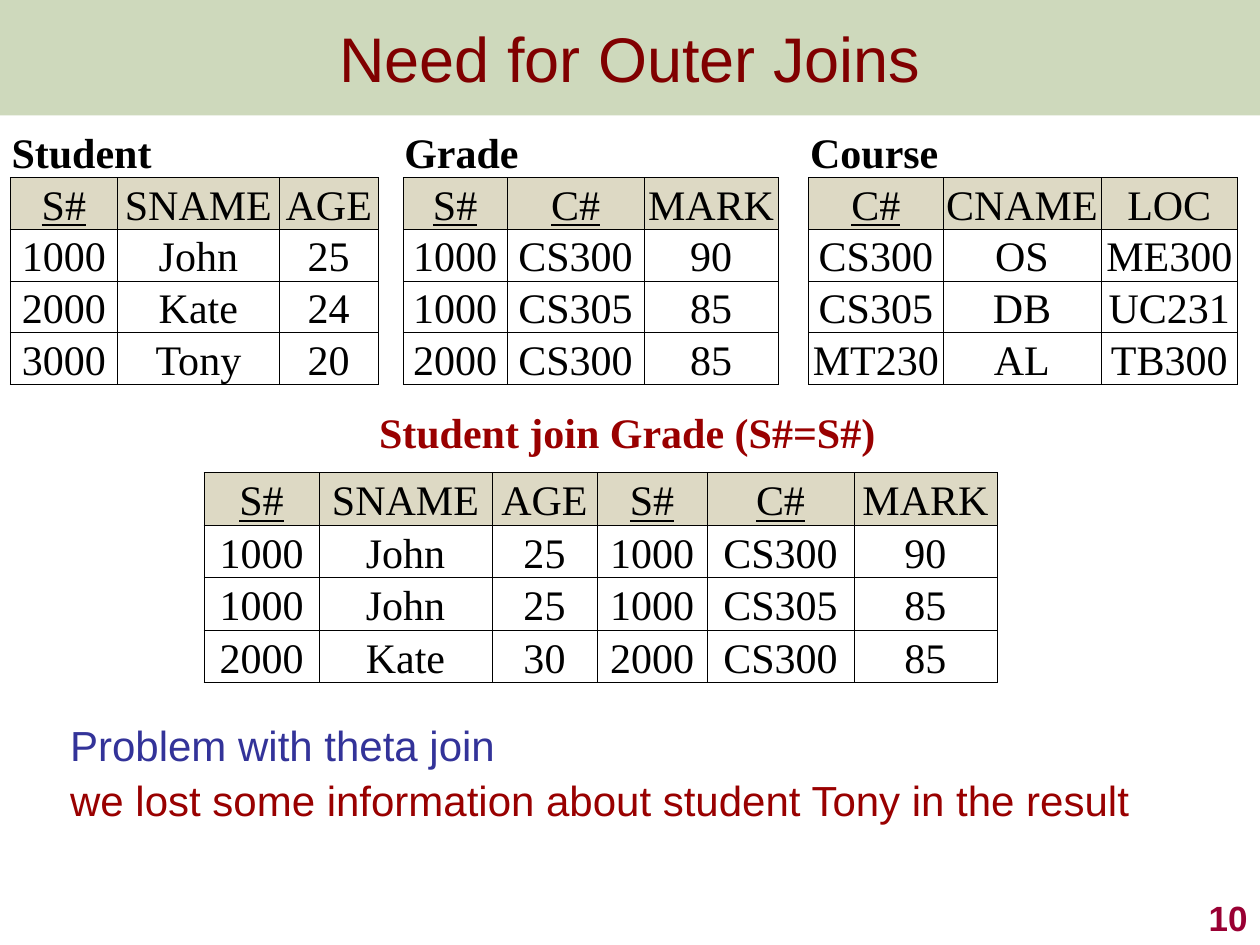
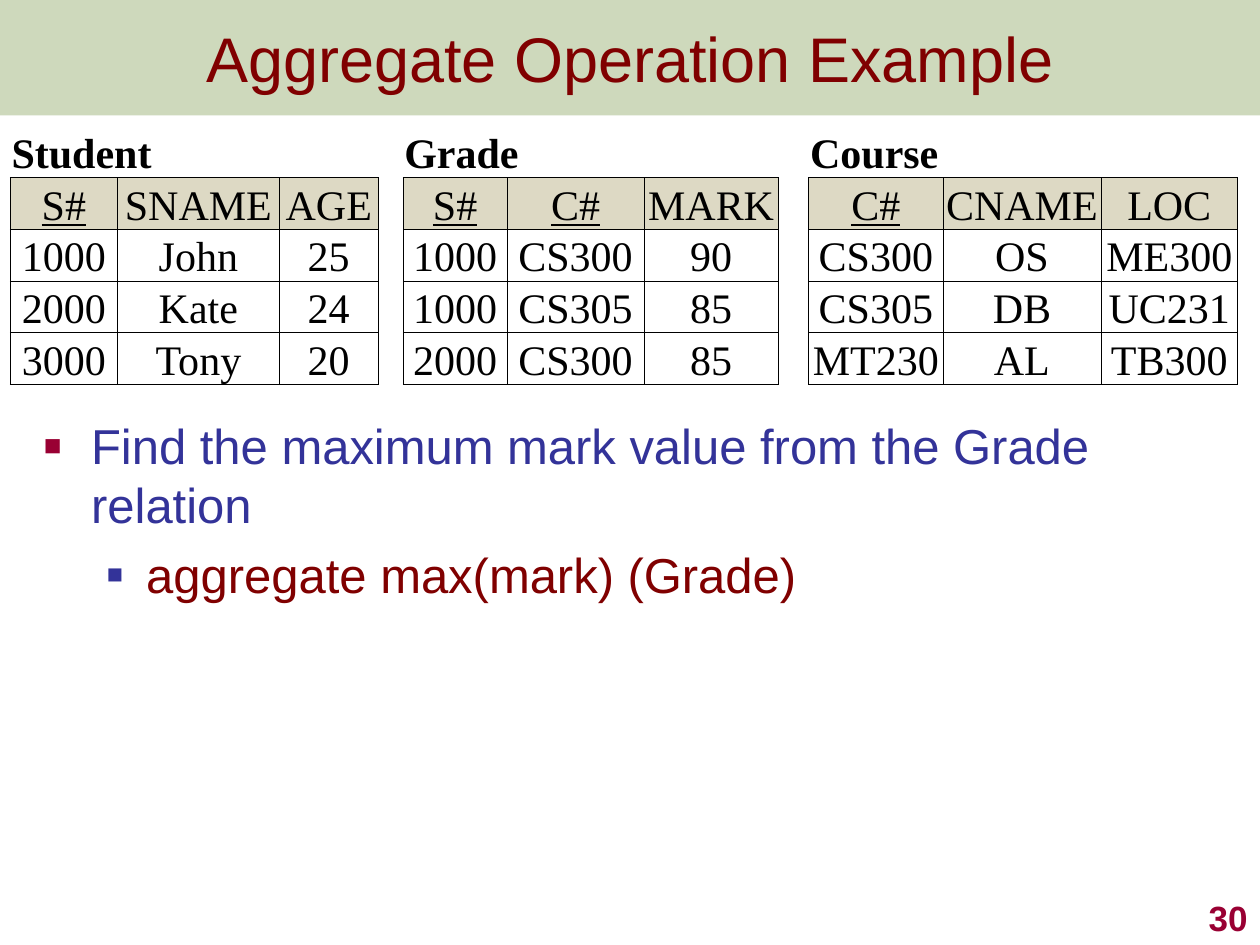
from dataclasses import dataclass
from typing import Any

from lxml.etree import SubElement
from pptx import Presentation
from pptx.dml.color import RGBColor
from pptx.enum.shapes import MSO_SHAPE
from pptx.enum.text import MSO_ANCHOR, PP_ALIGN
from pptx.oxml.ns import qn
from pptx.util import Pt

SLIDE_WIDTH, SLIDE_HEIGHT = 720, 540
WHITE, BLACK, SAND, OLIVE = "FFFFFF", "000000", "DDD9C4", "5F8422"
MAROON, RED, CRIMSON, BLUE = "800000", "990000", "990033", "333399"
SANS, SERIF = "Arial", "Times New Roman"
RULE_WIDTH = 0.5
ALL_SIDES = "LRTB"


@dataclass(frozen=True)
class TextStyle:
    size: float
    color: str
    face: str = SANS
    bold: bool = False


@dataclass(frozen=True)
class Line:
    text: str
    style: TextStyle
    align: PP_ALIGN = PP_ALIGN.LEFT
    left: float = 0
    hanging: float = 0
    before: float = 0
    spacing: float = 1.0
    level: int = 0
    bullet_color: str = ""
    bullet_percent: int = 100


@dataclass(frozen=True)
class Box:
    left: float
    top: float
    width: float
    height: float


@dataclass(frozen=True)
class CellStyle:
    fill: str
    sides: str
    align: PP_ALIGN = PP_ALIGN.CENTER
    bold: bool = False


@dataclass(frozen=True)
class Relation:
    name: str
    widths: list[float]
    rows: list[list[str]]


TITLE = TextStyle(36, MAROON)
NUMBER = TextStyle(20, CRIMSON, bold=True)
JOIN_HEADING = TextStyle(24, RED, SERIF, bold=True)

NAME_CELL = CellStyle(WHITE, "B", PP_ALIGN.LEFT, bold=True)
HEADER_CELL = CellStyle(SAND, ALL_SIDES)
DATA_CELL = CellStyle(WHITE, ALL_SIDES)
GAP_CELL = CellStyle(WHITE, "LR")
GAP_TOP_CELL = CellStyle(WHITE, "")

GAP_WIDTHS = [14.3, 17.6]
RELATIONS = [
    Relation("Student", [61.2, 92.5, 56.5], [
        ["S#", "SNAME", "AGE"],
        ["1000", "John", "25"],
        ["2000", "Kate", "24"],
        ["3000", "Tony", "20"],
    ]),
    Relation("Grade", [59.4, 78.3, 76.6], [
        ["S#", "C#", "MARK"],
        ["1000", "CS300", "90"],
        ["1000", "CS305", "85"],
        ["2000", "CS300", "85"],
    ]),
    Relation("Course", [76.6, 90.3, 78.1], [
        ["C#", "CNAME", "LOC"],
        ["CS300", "OS", "ME300"],
        ["CS305", "DB", "UC231"],
        ["MT230", "AL", "TB300"],
    ]),
]
STUDENT_GRADE = Relation("Student join Grade (S#=S#)", [65.7, 98.9, 60, 62.9, 84, 81.7], [
    ["S#", "SNAME", "AGE", "S#", "C#", "MARK"],
    ["1000", "John", "25", "1000", "CS300", "90"],
    ["1000", "John", "25", "1000", "CS305", "85"],
    ["2000", "Kate", "30", "2000", "CS300", "85"],
])


def rgb(color: str) -> RGBColor:
    return RGBColor.from_string(color)


def assign(target: Any, values: dict[str, Any]) -> None:
    for name, value in values.items():
        setattr(target, name, value)


def set_font(font: Any, style: TextStyle, underline: bool = False) -> None:
    assign(font, {"size": Pt(style.size), "name": style.face,
                  "bold": style.bold, "underline": underline})
    font.color.rgb = rgb(style.color)


def add_bullet(paragraph: Any, color: str, percent: int) -> None:
    properties = paragraph._p.get_or_add_pPr()
    SubElement(SubElement(properties, qn("a:buClr")), qn("a:srgbClr"), val=color)
    SubElement(properties, qn("a:buSzPct"), val=str(percent * 1000))
    SubElement(properties, qn("a:buFont"), typeface=SANS)
    SubElement(properties, qn("a:buChar"), char="■")


def write_lines(frame: Any, lines: list[Line]) -> None:
    for index, line in enumerate(lines):
        paragraph = frame.add_paragraph() if index else frame.paragraphs[0]
        assign(paragraph, {"alignment": line.align, "level": line.level,
                           "line_spacing": line.spacing})
        if index:
            paragraph.space_before = Pt(line.before)
        if line.hanging:
            properties = paragraph._p.get_or_add_pPr()
            properties.set("marL", str(Pt(line.left)))
            properties.set("indent", str(-Pt(line.hanging)))
        if line.bullet_color:
            add_bullet(paragraph, line.bullet_color, line.bullet_percent)
        run = paragraph.add_run()
        run.text = line.text
        set_font(run.font, line.style)


def add_text(slide: Any, box: Box, lines: list[Line], **frame_values: Any) -> None:
    shape = slide.shapes.add_textbox(Pt(box.left), Pt(box.top), Pt(box.width), Pt(box.height))
    assign(shape.text_frame, {"word_wrap": True} | frame_values)
    write_lines(shape.text_frame, lines)


def add_title(slide: Any, title: str) -> None:
    band = slide.shapes.add_shape(MSO_SHAPE.RECTANGLE, 0, 0, Pt(SLIDE_WIDTH), Pt(66))
    band.shadow.inherit = False
    band.fill.solid()
    band.fill.fore_color.rgb = rgb(OLIVE)
    band_color = band._element.spPr.find(qn("a:solidFill")).find(qn("a:srgbClr"))
    SubElement(band_color, qn("a:alpha"), val="30000")
    band.line.fill.background()
    band.text_frame.vertical_anchor = MSO_ANCHOR.MIDDLE
    write_lines(band.text_frame, [Line(title, TITLE, PP_ALIGN.CENTER)])


def add_number(slide: Any, number: int) -> None:
    add_text(slide, Box(570, 504, 150, 36), [Line(str(number), NUMBER, PP_ALIGN.RIGHT)],
             vertical_anchor=MSO_ANCHOR.BOTTOM)


def rule_cell(cell: Any, sides: str) -> None:
    """Rule the given sides of the cell and clear the others."""
    properties = cell._tc.get_or_add_tcPr()
    for side in ALL_SIDES:
        rule = SubElement(properties, qn(f"a:ln{side}"), w=str(Pt(RULE_WIDTH)))
        if side in sides:
            SubElement(SubElement(rule, qn("a:solidFill")), qn("a:srgbClr"), val=BLACK)
        else:
            SubElement(rule, qn("a:noFill"))


def fill_cell(cell: Any, text: str, style: CellStyle) -> None:
    rule_cell(cell, style.sides)
    cell.fill.solid()
    cell.fill.fore_color.rgb = rgb(style.fill)
    assign(cell, {"vertical_anchor": MSO_ANCHOR.BOTTOM, "margin_left": Pt(0.7),
                  "margin_right": Pt(0.7), "margin_top": Pt(0.7), "margin_bottom": 0})
    if text:
        paragraph = cell.text_frame.paragraphs[0]
        paragraph.alignment = style.align
        run = paragraph.add_run()
        run.text = text
        is_key = style is HEADER_CELL and text.endswith("#")
        set_font(run.font, TextStyle(24, BLACK, SERIF, style.bold), is_key)


def add_grid(slide: Any, left: float, top: float, widths: list[float],
             row_count: int, row_height: float) -> Any:
    grid = slide.shapes.add_table(row_count, len(widths), Pt(left), Pt(top),
                                  Pt(sum(widths)), Pt(row_count * row_height)).table
    assign(grid, {"first_row": False, "horz_banding": False})
    for column, width in zip(grid.columns, widths):
        column.width = Pt(width)
    for row in grid.rows:
        row.height = Pt(row_height)
    return grid


def fill_relation(grid: Any, relation: Relation, first_row: int, first_column: int) -> None:
    for r, values in enumerate(relation.rows):
        for c, value in enumerate(values):
            fill_cell(grid.cell(first_row + r, first_column + c), value,
                      DATA_CELL if r else HEADER_CELL)


def add_database(slide: Any) -> None:
    """Draw the three named relations side by side in one table."""
    widths = list(RELATIONS[0].widths)
    for gap, relation in zip(GAP_WIDTHS, RELATIONS[1:]):
        widths += [gap, *relation.widths]
    row_count = len(RELATIONS[0].rows) + 1
    grid = add_grid(slide, 5.9, 72, widths, row_count, 27.4)
    start = 0
    for relation in RELATIONS:
        if start:
            for r in range(row_count):
                fill_cell(grid.cell(r, start - 1), "", GAP_CELL if r else GAP_TOP_CELL)
        end = start + len(relation.widths)
        for c in range(start, end):
            fill_cell(grid.cell(0, c), relation.name if c == start else "", NAME_CELL)
        grid.cell(0, start).merge(grid.cell(0, end - 1))
        fill_relation(grid, relation, 1, start)
        start = end + 1


def add_joined_relation(slide: Any, relation: Relation) -> None:
    grid = add_grid(slide, 116.6, 270, relation.widths, len(relation.rows), 30)
    fill_relation(grid, relation, 0, 0)
    add_text(slide, Box(209.5, 228.5, 301, 36), [Line(relation.name, JOIN_HEADING)],
             word_wrap=False)


def add_slide(deck: Any, title: str, number: int) -> Any:
    slide = deck.slides.add_slide(deck.slide_layouts[6])
    add_title(slide, title)
    add_number(slide, number)
    add_database(slide)
    return slide


def main() -> None:
    deck = Presentation()
    assign(deck, {"slide_width": Pt(SLIDE_WIDTH), "slide_height": Pt(SLIDE_HEIGHT)})

    outer_joins = add_slide(deck, "Need for Outer Joins", 10)
    add_joined_relation(outer_joins, STUDENT_GRADE)
    remarks = [("Problem with theta join", BLUE),
               ("we lost some information about student Tony in the result", RED)]
    add_text(outer_joins, Box(33, 411, 653, 78),
             [Line(text, TextStyle(24, color), left=27, hanging=27, before=5.5, spacing=0.9)
              for text, color in remarks], margin_right=0)

    aggregate = add_slide(deck, "Aggregate Operation Example", 30)
    add_text(aggregate, Box(18, 234, 667, 222), [
        Line("Find the maximum mark value from the Grade relation", TextStyle(28, BLUE),
             left=27, hanging=27, bullet_color=CRIMSON, bullet_percent=60),
        Line("aggregate max(mark) (Grade)", TextStyle(28, MAROON), left=58.5, hanging=22.5,
             before=6.5, level=1, bullet_color=BLUE, bullet_percent=55),
    ], margin_right=0)

    deck.save("out.pptx")


if __name__ == "__main__":
    main()
